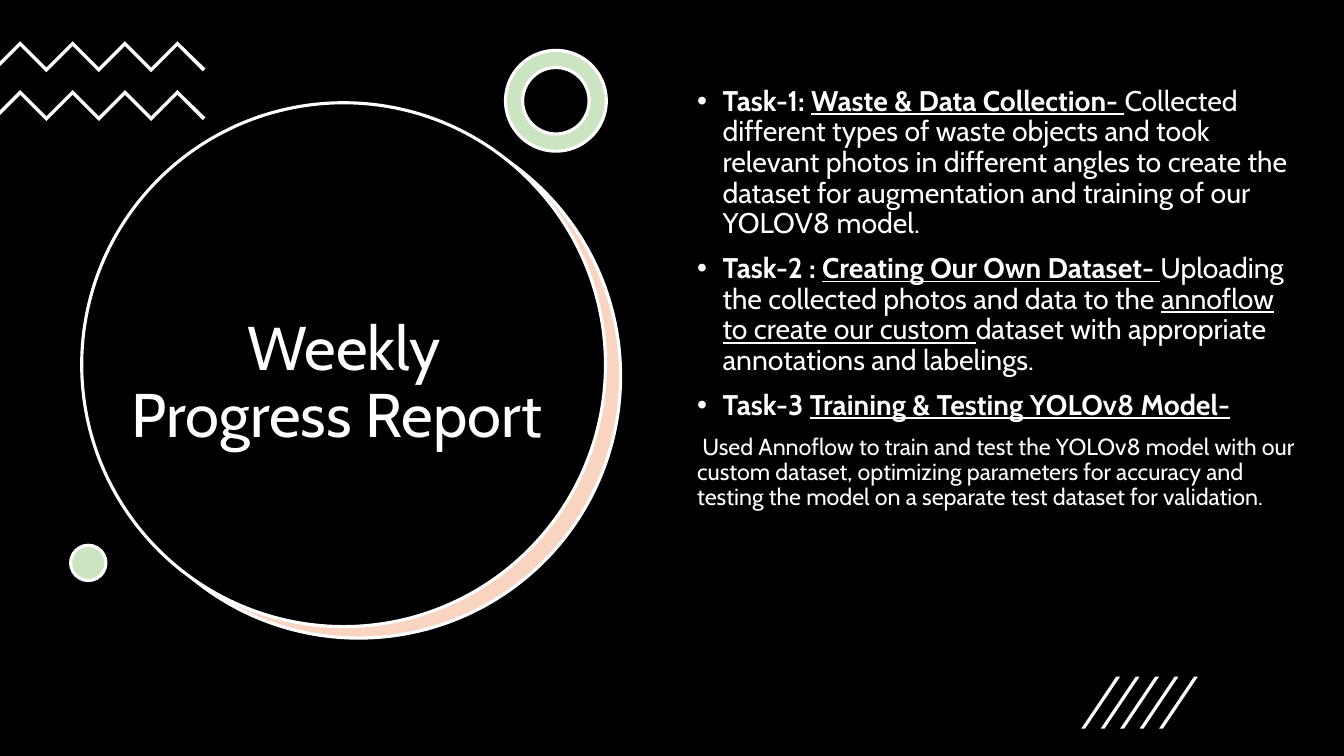
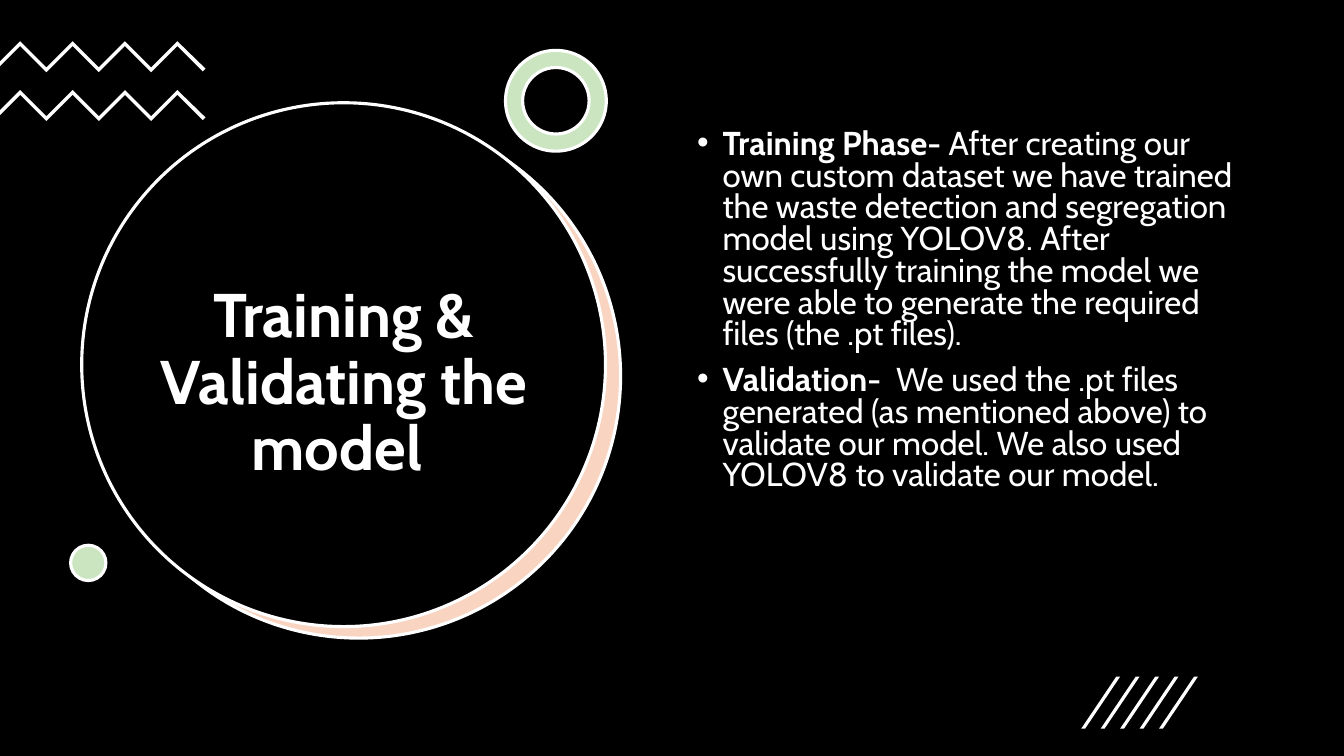
from pptx import Presentation
from pptx import util as u
from pptx.dml.color import RGBColor
from pptx.enum import shapes, text
from pptx.oxml import parse_xml
from pptx.oxml.ns import nsdecls

BLACK = RGBColor(0x00, 0x00, 0x00)
WHITE = RGBColor(0xFF, 0xFF, 0xFF)
GREEN = RGBColor(0xCA, 0xE5, 0xC0)
PEACH = RGBColor(0xF8, 0xD4, 0xC1)
PRESET = shapes.MSO_SHAPE


class ReportDeck:
    font_name = "Cabin"
    title_size = 44
    line_width = u.Pt(2.25)
    bullet_indent = u.Cm(0.64)

    def __init__(self):
        self.deck = Presentation()
        self.deck.slide_width = u.Cm(33.87)
        self.deck.slide_height = u.Cm(19.05)
        self.page = None

    def add_page(self, title, bold_title=False):
        self.page = self.deck.slides.add_slide(self.deck.slide_layouts[6])
        self.page.background.fill.solid()
        self.page.background.fill.fore_color.rgb = BLACK
        self.decorate()
        self.title(title, bold_title)

    def decorate(self):
        """Draw the ornaments that every page carries."""
        self.shape(PRESET.OVAL, 2.44, 2.88, 13.2, 13.2, PEACH, outlined=True)
        self.shape(PRESET.OVAL, 2.06, 2.59, 13.2, 13.2, BLACK, outlined=True)
        for top in (1.04, 2.27):
            self.zigzag(top)
        ring = self.shape(PRESET.DONUT, 12.74, 1.27, 2.54, 2.54, GREEN, outlined=True)
        ring.adjustments[0] = 0.17
        self.shape(PRESET.OVAL, 1.78, 13.74, 0.89, 0.89, GREEN, outlined=True)
        for index in range(5):
            slash = self.shape(PRESET.PARALLELOGRAM, 27.25 + 0.49 * index, 17.05,
                               0.98, 1.31, WHITE)
            slash.adjustments[0] = 0.9

    def paint(self, shape, color, outlined=False):
        shape.shadow.inherit = False
        shape.fill.solid()
        shape.fill.fore_color.rgb = color
        if outlined:
            shape.line.color.rgb = WHITE
            shape.line.width = self.line_width
        else:
            shape.line.fill.background()

    def shape(self, preset, left, top, width, height, color, outlined=False):
        shape = self.page.shapes.add_shape(
            preset, u.Cm(left), u.Cm(top), u.Cm(width), u.Cm(height))
        self.paint(shape, color, outlined)
        return shape

    def zigzag(self, top):
        """Draw a band of 45-degree teeth that enters at the left edge."""
        step, thickness = 0.66, 0.12
        teeth = [(0.51 + step * i, step * (i % 2)) for i in range(7)]
        upper = [(0, 0.51), *teeth, (5.18, 0.69)]
        lower = [(5.11, 0.76), *((x, y + thickness) for x, y in reversed(teeth)),
                 (0, 0.51 + thickness)]
        points = [(u.Cm(x), u.Cm(top + y)) for x, y in upper + lower]
        outline = self.page.shapes.build_freeform(*points[0])
        outline.add_line_segments(points[1:], close=True)
        self.paint(outline.convert_to_shape(), WHITE)

    def text_frame(self, left, top, width, height):
        box = self.page.shapes.add_textbox(
            u.Cm(left), u.Cm(top), u.Cm(width), u.Cm(height))
        box.text_frame.word_wrap = True
        return box.text_frame

    def span(self, para, words, size, bold=False, underline=False):
        span = para.add_run()
        span.text = words
        font = span.font
        font.name, font.size = self.font_name, u.Pt(size)
        font.bold, font.underline = bold, underline
        font.color.rgb = WHITE

    def title(self, words, bold):
        frame = self.text_frame(3.07, 5.21, 11.2, 8.94)
        frame.vertical_anchor = text.MSO_ANCHOR.MIDDLE
        para = frame.paragraphs[0]
        para.alignment = text.PP_ALIGN.CENTER
        para.line_spacing = 0.9
        self.span(para, words, self.title_size, bold)

    def bullet(self, para):
        properties = para._p.get_or_add_pPr()
        properties.set("marL", str(self.bullet_indent))
        properties.set("indent", str(-self.bullet_indent))
        for tag in (f'<a:buClr {nsdecls("a")}><a:srgbClr val="{WHITE}"/></a:buClr>',
                    f'<a:buFont {nsdecls("a")} typeface="Arial"/>',
                    f'<a:buChar {nsdecls("a")} char="•"/>'):
            properties.append(parse_xml(tag))

    def body(self, top, width, height, line_spacing, paragraphs):
        """Each paragraph is (size, bulleted, spans); a span is (words, style),
        where the style holds "b" for bold and "u" for underlined."""
        frame = self.text_frame(17.32, top, width, height)
        for index, (size, bulleted, spans) in enumerate(paragraphs):
            para = frame.add_paragraph() if index else frame.paragraphs[0]
            if bulleted:
                self.bullet(para)
            para.line_spacing = line_spacing
            para.space_before = u.Pt(10 if index else 0)
            for words, style in spans:
                self.span(para, words, size, "b" in style, "u" in style)


def main():
    report = ReportDeck()

    report.add_page("Weekly Progress Report ")
    report.body(2.06, 15.62, 13.16, 0.9, [
        (20.3, True, [
            ("Task-1: ", "b"),
            ("Waste & Data Collection- ", "bu"),
            ("Collected different types of waste objects and took relevant photos in "
             "different angles to create the dataset for augmentation and training of "
             "our YOLOV8 model.", "")]),
        (20.3, True, [
            ("Task-2 : ", "b"),
            ("Creating Our Own Dataset- ", "bu"),
            ("Uploading the collected photos and data to the ", ""),
            ("annoflow to create our custom ", "u"),
            ("dataset with appropriate annotations and labelings.", "")]),
        (20.3, True, [
            ("Task-3 ", "b"),
            ("Training & Testing YOLOv8 Model-", "bu")]),
        (16.6, False, [
            (" Used Annoflow to train and test the YOLOv8 model with our custom dataset, "
             "optimizing parameters for accuracy and testing the model on a separate "
             "test dataset for validation.", "")]),
    ])

    report.add_page("Training & Validating the model ", bold_title=True)
    report.body(3.15, 14.48, 12.09, 0.8, [
        (23.6, True, [
            ("Training Phase- ", "b"),
            ("After creating our own custom dataset we have trained the waste detection "
             "and segregation model using YOLOV8. After successfully training the model "
             "we were able to generate the required files (the .pt files).", "")]),
        (23.6, True, [
            ("Validation- ", "b"),
            (" We used the .pt files generated (as mentioned above) to validate our "
             "model. We also used YOLOV8 to validate our model.", "")]),
    ])

    report.deck.save("out.pptx")


if __name__ == "__main__":
    main()
